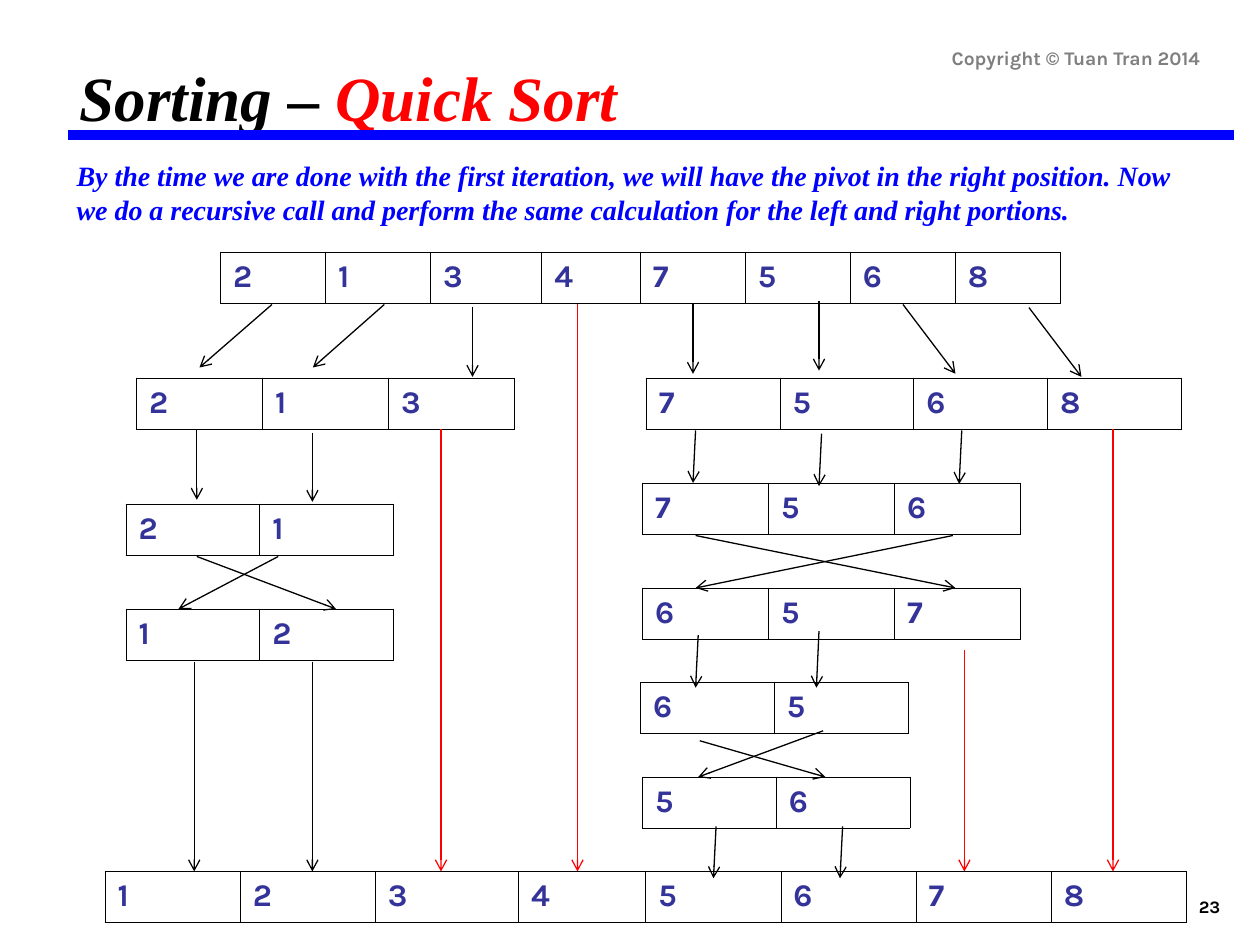
from dataclasses import dataclass

from lxml.etree import SubElement
from pptx import Presentation
from pptx.dml.color import RGBColor
from pptx.enum.shapes import MSO_CONNECTOR
from pptx.enum.text import MSO_ANCHOR, MSO_AUTO_SIZE, PP_ALIGN
from pptx.oxml.ns import qn
from pptx.util import Inches, Pt


@dataclass(frozen=True)
class Theme:
    serif: str = "Times New Roman"
    sans: str = "Karla"
    black: str = "000000"
    red: str = "FF0000"
    blue: str = "0000FF"
    digit: str = "333399"
    gray: str = "7F7F7F"
    title_size: int = 36
    body_size: int = 16
    digit_size: int = 18
    copyright_size: int = 11
    number_size: int = 10
    rule_width: float = 6
    arrow_width: float = 0.75
    border_width: float = 0.45


THEME = Theme()
COLUMNS, ROWS = 120, 90
CELL_HEIGHT = 4.85
ARRAY_WIDTHS = [10, 10, 10.6, 9.4, 10, 10, 10, 10]
PAIR_CELL = 12.74
TRIPLE_CELL = 12


def grid(units):
    return Inches(units / 12)


def place(shape, box, left, top, width, height):
    shape.left, shape.top = grid(box[0] + left), grid(box[1] + top)
    shape.width, shape.height = grid(width), grid(height)


def write_text(frame, runs, font, size, italic=False, align=PP_ALIGN.LEFT,
               anchor=MSO_ANCHOR.TOP):
    frame.word_wrap = True
    frame.auto_size = MSO_AUTO_SIZE.NONE
    frame.vertical_anchor = anchor
    paragraph = frame.paragraphs[0]
    paragraph.alignment = align
    paragraph.space_before = Pt(0)
    for text, color in runs:
        run = paragraph.add_run()
        run.text = text
        run.font.name = font
        run.font.size = Pt(size)
        run.font.bold = True
        run.font.italic = italic
        run.font.color.rgb = RGBColor.from_string(color)
    return paragraph


def draw_line(slide, box, start, end, color=THEME.black,
              width=THEME.arrow_width, arrow=True):
    connector = slide.shapes.add_connector(
        MSO_CONNECTOR.STRAIGHT,
        grid(box[0] + start[0]), grid(box[1] + start[1]),
        grid(box[0] + end[0]), grid(box[1] + end[1]))
    connector.line.color.rgb = RGBColor.from_string(color)
    connector.line.width = Pt(width)
    if arrow:
        SubElement(connector.line._get_or_add_ln(), qn("a:tailEnd"), type="arrow")
    SubElement(connector._element.spPr, qn("a:effectLst"))


def draw_arrows(slide, box, arrows, color=THEME.black):
    for start, end in arrows:
        draw_line(slide, box, start, end, color)


def add_borders(cell):
    properties = cell._tc.get_or_add_tcPr()
    for side in ("a:lnL", "a:lnR", "a:lnT", "a:lnB"):
        border = SubElement(properties, qn(side), w=str(Pt(THEME.border_width)))
        fill = SubElement(border, qn("a:solidFill"))
        SubElement(fill, qn("a:srgbClr"), val=THEME.black)


def draw_array(slide, box, left, top, digits, widths):
    shape = slide.shapes.add_table(
        1, len(digits), grid(box[0] + left), grid(box[1] + top),
        grid(sum(widths)), grid(CELL_HEIGHT))
    table = shape.table
    table.first_row = table.horz_banding = False
    for column, cell, digit, width in zip(table.columns, table.rows[0].cells,
                                          digits, widths):
        column.width = grid(width)
        add_borders(cell)
        cell.fill.background()
        run = cell.text_frame.paragraphs[0].add_run()
        run.text = digit
        run.font.name = THEME.sans
        run.font.size = Pt(THEME.digit_size)
        run.font.bold = True
        run.font.color.rgb = RGBColor.from_string(THEME.digit)


def header(slide, box):
    title = slide.shapes.title
    place(title, box, 0.4, 1, 60, 15.6)
    write_text(title.text_frame,
               [("Sorting – ", THEME.black), ("Quick Sort", THEME.red)],
               THEME.serif, THEME.title_size, italic=True)
    draw_line(slide, box, (0.5, 8.85), (111.5, 8.85), THEME.blue,
              THEME.rule_width, arrow=False)
    notice = slide.shapes.add_textbox(0, 0, 0, 0)
    place(notice, box, 71.5, 0, 38, 3.2)
    write_text(notice.text_frame, [("Copyright © Tuan Tran 2014", THEME.gray)],
               THEME.sans, THEME.copyright_size, align=PP_ALIGN.RIGHT,
               anchor=MSO_ANCHOR.BOTTOM)


def explanation(slide, box):
    body = slide.placeholders[1]
    place(body, box, 0, 0, 110, 7.7)
    text = ("By the time we are done with the first iteration, we will have the "
            "pivot in the right position. Now we do a recursive call and perform "
            "the same calculation for the left and right portions.")
    paragraph = write_text(body.text_frame, [(text, THEME.blue)], THEME.serif,
                           THEME.body_size, italic=True)
    properties = paragraph._p.get_or_add_pPr()
    properties.set("marL", "0")
    properties.set("indent", "0")
    SubElement(properties, qn("a:buNone"))


def partitioned_array(slide, box):
    draw_array(slide, box, 0, 0, "21347568", ARRAY_WIDTHS)
    draw_arrows(slide, box, [
        ((4.9, 5), (-2, 11)), ((15.6, 5), (8.8, 11)), ((24, 5.2), (24, 11.9)),
        ((45, 5), (45, 11.6)), ((57, 4.7), (57, 11.3)),
        ((65, 5), (70, 11.6)), ((77, 5.3), (82, 11.9))])
    draw_arrows(slide, box, [((34, 5), (34, 59))], THEME.red)


def left_portion(slide, box):
    draw_array(slide, box, 1, 0, "213", [TRIPLE_CELL] * 3)
    for top, digits in ((12, "21"), (22, "12")):
        draw_array(slide, box, 0, top, digits, [PAIR_CELL] * 2)
    draw_arrows(slide, box, [
        ((6.75, 5), (6.75, 11.6)), ((17.75, 5.2), (17.75, 11.8)),
        ((14.5, 17), (5, 22)), ((6.75, 17), (20, 22)),
        ((6.5, 27), (6.5, 47)), ((17.75, 27), (17.75, 47))])
    draw_arrows(slide, box, [((30, 4.9), (30, 47))], THEME.red)


def right_portion(slide, box):
    for left, top, digits, width in (
            (0.55, 0, "7568", PAIR_CELL), (0.2, 10, "756", TRIPLE_CELL),
            (0.2, 20, "657", TRIPLE_CELL), (0, 29, "65", PAIR_CELL),
            (0.2, 38, "56", PAIR_CELL)):
        draw_array(slide, box, left, top, digits, [width] * len(digits))
    draw_arrows(slide, box, [
        ((5.25, 5), (5, 10)), ((17.25, 5.3), (17, 10.3)),
        ((30.6, 5), (30.35, 10.1)),
        ((5.25, 15), (30, 20)), ((29.75, 15), (5.25, 20)),
        ((5.5, 24.5), (5.25, 29.5)), ((17, 24.1), (16.75, 29.5)),
        ((5.65, 34.55), (17.6, 38)), ((17.4, 33.6), (5.5, 38)),
        ((7.2, 42.7), (6.95, 47.65)), ((19.25, 42.7), (19, 47.65))])
    draw_arrows(slide, box, [((30.85, 25.9), (30.85, 47)), ((45, 4.85), (45, 47))],
                THEME.red)


def sorted_array(slide, box):
    scale = 103 / sum(ARRAY_WIDTHS)
    draw_array(slide, box, 0, 0, "12345678", [width * scale for width in ARRAY_WIDTHS])


def page_number(slide, box):
    number = slide.shapes.add_textbox(0, 0, 0, 0)
    place(number, box, 0, 0, 25, 6)
    write_text(number.text_frame, [("23", THEME.black)], THEME.sans,
               THEME.number_size, align=PP_ALIGN.RIGHT, anchor=MSO_ANCHOR.BOTTOM)


def main():
    presentation = Presentation()
    presentation.slide_width, presentation.slide_height = grid(COLUMNS), grid(ROWS)
    slide = presentation.slides.add_slide(presentation.slide_layouts[1])
    header(slide, (6, 4))
    explanation(slide, (6.1, 14.5))
    partitioned_array(slide, (21, 24))
    left_portion(slide, (12, 36))
    right_portion(slide, (61, 36))
    sorted_array(slide, (10, 83))
    page_number(slide, (92.4, 81.95))
    presentation.save("out.pptx")


if __name__ == "__main__":
    main()
